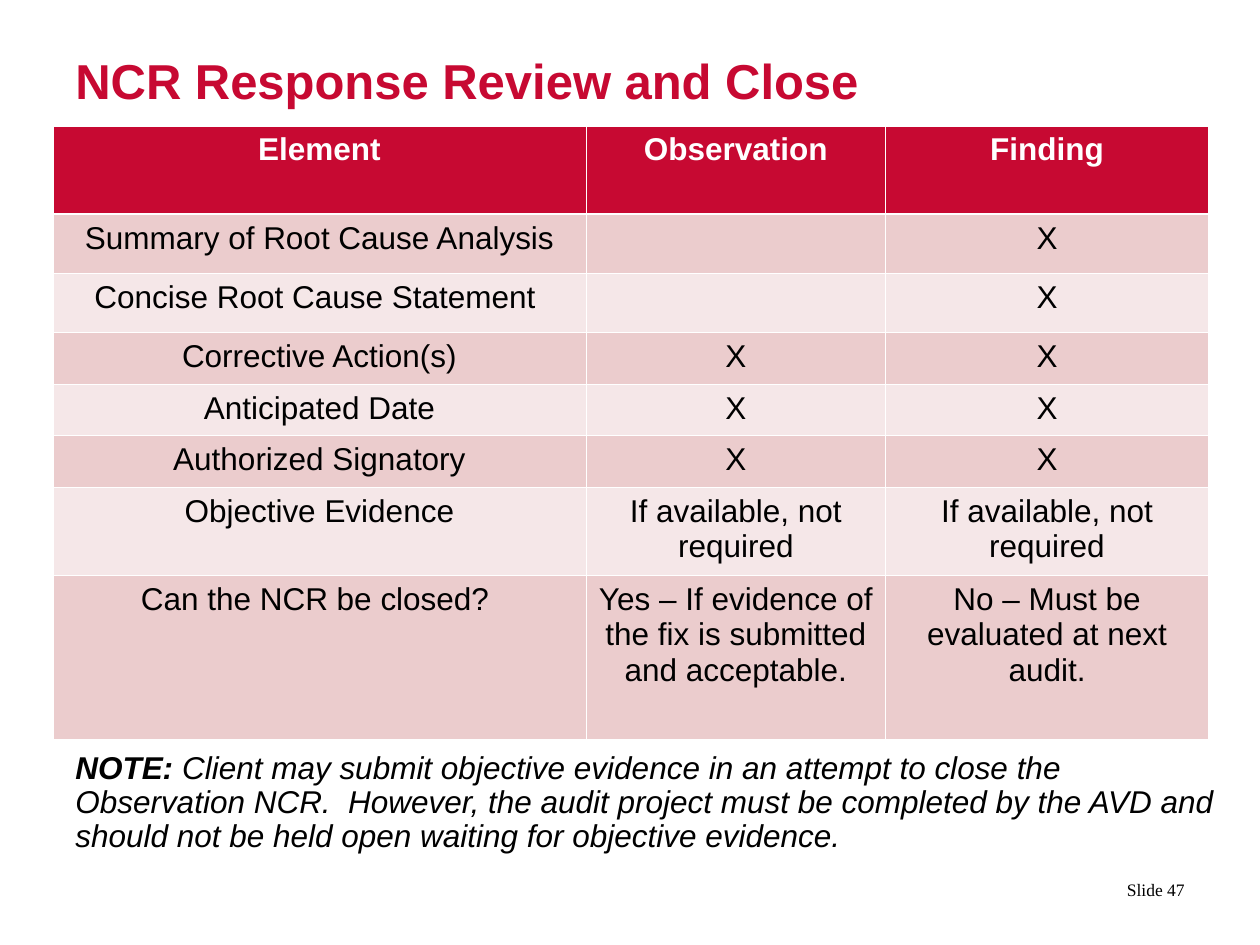
from lxml import etree
from pptx import Presentation
from pptx.dml.color import RGBColor
from pptx.enum.text import MSO_ANCHOR, PP_ALIGN
from pptx.oxml.ns import qn
from pptx.util import Inches, Pt

LEFT, CENTER, RIGHT = PP_ALIGN.LEFT, PP_ALIGN.CENTER, PP_ALIGN.RIGHT
TOP, MIDDLE = MSO_ANCHOR.TOP, MSO_ANCHOR.MIDDLE

RED = RGBColor(0xC7, 0x09, 0x32)
PINK = RGBColor(0xEB, 0xCC, 0xCD)
PALE_PINK = RGBColor(0xF5, 0xE7, 0xE8)
BLACK = RGBColor(0, 0, 0)
WHITE = RGBColor(0xFF, 0xFF, 0xFF)


def write(frame, *runs, size=18, font="Arial", color=BLACK, bold=False,
          italic=False, align=LEFT, spacing=None):
    """Write runs into one paragraph; a run is a text or a (text, bold) pair."""
    paragraph = frame.paragraphs[0]
    paragraph.alignment = align
    paragraph.line_spacing = spacing
    for item in runs:
        text, run_bold = (item, bold) if isinstance(item, str) else item
        run = paragraph.add_run()
        run.text = text
        run.font.size = Pt(size)
        run.font.name = font
        run.font.color.rgb = color
        run.font.bold = run_bold
        run.font.italic = italic


def add_frame(left, top, width, height, anchor=TOP):
    box = slide.shapes.add_textbox(Inches(left), Inches(top), Inches(width), Inches(height))
    box.text_frame.word_wrap = True
    box.text_frame.vertical_anchor = anchor
    return box.text_frame


prs = Presentation()
prs.slide_width, prs.slide_height = Inches(10), Inches(7.5)
slide = prs.slides.add_slide(prs.slide_layouts[6])

# Title
title = add_frame(0.5, 0.3, 9, 0.78)
title.margin_top = Inches(0.1)
write(title, "NCR Response Review and Close", size=28, color=RED, bold=True)

# Note below the table
note = add_frame(0.5, 5.92, 9.33, 1.08)
write(note, ("NOTE:", True),
      " Client may submit objective evidence in an attempt to close "
      "the Observation NCR.  However, the audit project must be completed by the AVD "
      "and should not be held open waiting for objective evidence.",
      italic=True, spacing=0.9)

# Slide number
number = add_frame(8.8, 6.86, 0.7, 0.4, anchor=MIDDLE)
write(number, "Slide 47", size=10, font="Times New Roman", align=RIGHT)

# Review table
elements = [
    ("Element", "Observation", "Finding"),
    ("Summary of Root Cause Analysis", "", "X"),
    ("Concise Root Cause Statement ", "", "X"),
    ("Corrective Action(s)", "X", "X"),
    ("Anticipated Date", "X", "X"),
    ("Authorized Signatory", "X", "X"),
    ("Objective Evidence", "If available, not required", "If available, not required"),
    ("Can the NCR be closed? ", "Yes – If evidence of the fix is submitted and acceptable.",
     "No – Must be evaluated at next audit."),
]
column_widths = [4.23, 2.38, 2.56]
row_heights = [0.7, 0.47, 0.47, 0.41, 0.41, 0.41, 0.7, 1.3]
review = slide.shapes.add_table(
    len(elements), len(column_widths), Inches(0.42), Inches(1),
    Inches(sum(column_widths)), Inches(sum(row_heights))).table
for column, width in zip(review.columns, column_widths):
    column.width = Inches(width)
for row, height in zip(review.rows, row_heights):
    row.height = Inches(height)

for r, texts in enumerate(elements):
    header = r == 0
    for c, text in enumerate(texts):
        cell = review.cell(r, c)

        # White borders, thicker under the header
        properties = cell._tc.get_or_add_tcPr()
        for side in "LRTB":
            thick = (r, side) in ((0, "B"), (1, "T"))
            line = etree.SubElement(properties, qn(f"a:ln{side}"),
                                    w=str(Pt(1.47 if thick else 0.45)))
            fill = etree.SubElement(line, qn("a:solidFill"))
            etree.SubElement(fill, qn("a:srgbClr"), val=str(WHITE))

        cell.fill.solid()
        cell.fill.fore_color.rgb = RED if header else PINK if r % 2 else PALE_PINK
        if text:
            write(cell.text_frame, text, color=WHITE if header else BLACK,
                  bold=header, align=CENTER)

prs.save("out.pptx")
